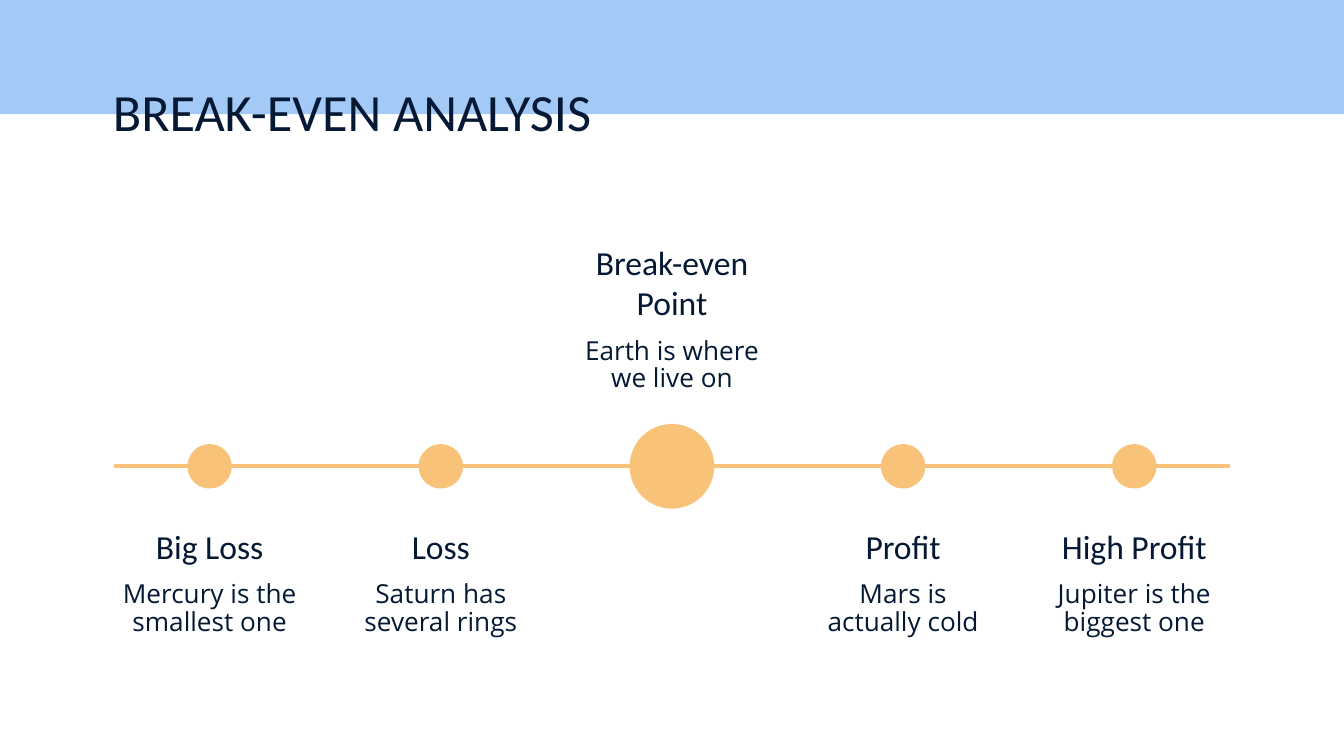
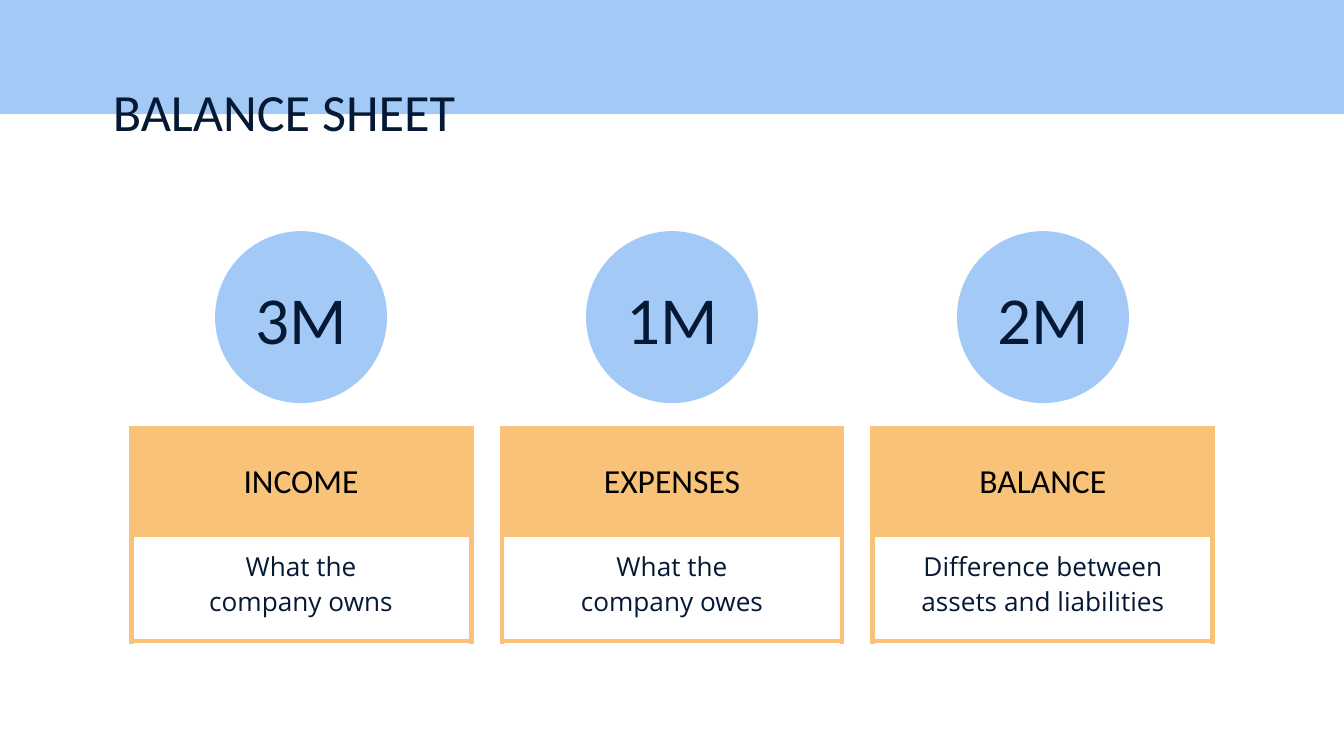
from lxml.etree import SubElement
from pptx import Presentation
from pptx.dml.color import RGBColor
from pptx.enum.shapes import MSO_CONNECTOR, MSO_SHAPE
from pptx.enum.text import MSO_ANCHOR, MSO_AUTO_SIZE, PP_ALIGN
from pptx.oxml.ns import qn
from pptx.util import Inches, Pt

NAVY, BLUE, ORANGE, BLACK = "051934", "A3CAF7", "F8C379", "000000"
HEADING_FONT, BODY_FONT = "Calibri", "Open Sans"
TITLE_ONLY = 5
SLIDE_WIDTH, SLIDE_HEIGHT = 10, 5.625
CENTER = SLIDE_WIDTH / 2


def color(hex_string):
    return RGBColor.from_string(hex_string)


def write(frame, text, size=14, font=BODY_FONT, ink=NAVY, align=PP_ALIGN.CENTER,
          anchor=MSO_ANCHOR.TOP, spacing=1.0, after=0):
    """Fill a text frame or table cell, one paragraph per line of text."""
    frame.vertical_anchor = anchor
    frame.margin_left = frame.margin_right = Inches(0.1)
    frame.margin_top = frame.margin_bottom = Inches(0.1)
    body = getattr(frame, "text_frame", frame)
    body.word_wrap = True
    body.text = text
    for para in body.paragraphs:
        para.alignment = align
        para.line_spacing = spacing
        para.space_before, para.space_after = Pt(0), Pt(after)
        for span in para.runs:
            span.font.name, span.font.size = font, Pt(size)
            span.font.bold = False
            span.font.color.rgb = color(ink)


def outline_cell(cell, line_color, width):
    properties = cell._tc.get_or_add_tcPr()
    for side in ("lnL", "lnR", "lnT", "lnB"):
        line = SubElement(properties, qn(f"a:{side}"), w=str(Pt(width)))
        fill = SubElement(line, qn("a:solidFill"))
        SubElement(fill, qn("a:srgbClr"), val=line_color)


class Report:
    def __init__(self):
        self.deck = Presentation()
        self.deck.slide_width = Inches(SLIDE_WIDTH)
        self.deck.slide_height = Inches(SLIDE_HEIGHT)
        self.page = None

    def new_page(self, title):
        self.page = self.deck.slides.add_slide(self.deck.slide_layouts[TITLE_ONLY])
        band = self.shape(MSO_SHAPE.RECTANGLE, 0, 0, SLIDE_WIDTH, 0.85, BLUE)
        self.page.shapes._spTree.insert(2, band._element)  # behind the title
        box = self.page.shapes.title
        box.left, box.top = Inches(0.74), Inches(0.49)
        box.width, box.height = Inches(7.73), Inches(0.63)
        box.text_frame.auto_size = MSO_AUTO_SIZE.NONE
        write(box.text_frame, title, size=28, font=HEADING_FONT, align=PP_ALIGN.LEFT)

    def shape(self, kind, left, top, width, height, fill):
        shape = self.page.shapes.add_shape(
            kind, Inches(left), Inches(top), Inches(width), Inches(height))
        shape.shadow.inherit = False
        shape.fill.solid()
        shape.fill.fore_color.rgb = color(fill)
        shape.line.fill.background()
        return shape

    def circle(self, center_x, center_y, diameter, fill):
        return self.shape(MSO_SHAPE.OVAL, center_x - diameter / 2,
                          center_y - diameter / 2, diameter, diameter, fill)

    def text(self, left, top, width, height, text, **style):
        box = self.page.shapes.add_textbox(
            Inches(left), Inches(top), Inches(width), Inches(height))
        write(box.text_frame, text, **style)

    def horizontal_line(self, left, right, y, line_color, width):
        line = self.page.shapes.add_connector(
            MSO_CONNECTOR.STRAIGHT, Inches(left), Inches(y), Inches(right), Inches(y))
        line.line.color.rgb = color(line_color)
        line.line.width = Pt(width)
        SubElement(line._element.spPr, qn("a:effectLst"))

    def card(self, left, top, width, row_height, heading, text):
        """Two-row table: a filled heading above an outlined text."""
        table = self.page.shapes.add_table(
            2, 1, Inches(left), Inches(top), Inches(width), Inches(2 * row_height)).table
        table.first_row = table.horz_banding = False
        head, body = table.cell(0, 0), table.cell(1, 0)
        for cell in (head, body):
            outline_cell(cell, ORANGE, 3)
        head.fill.solid()
        head.fill.fore_color.rgb = color(ORANGE)
        body.fill.background()
        write(head, heading, size=18, font=HEADING_FONT, ink=BLACK,
              anchor=MSO_ANCHOR.MIDDLE)
        write(body, text)


def break_even_page(report):
    report.new_page("BREAK-EVEN ANALYSIS")
    stages = [
        ("Big Loss", "Mercury is the smallest one"),
        ("Loss", "Saturn has several rings"),
        ("Break-even Point", "Earth is where we live on"),
        ("Profit", "Mars is actually cold"),
        ("High Profit", "Jupiter is the biggest one"),
    ]
    middle, pitch, width, axis = len(stages) // 2, 1.72, 1.55, 3.47
    report.horizontal_line(0.85, 9.15, axis, ORANGE, 2.25)
    for index, (heading, text) in enumerate(stages):
        center = CENTER + (index - middle) * pitch
        is_middle = index == middle
        top = 1.52 if is_middle else 3.33
        left = center - width / 2
        report.text(left, top, width, 0.98, heading, size=18, font=HEADING_FONT,
                    anchor=MSO_ANCHOR.BOTTOM)
        report.text(left, top + 0.9, width, 0.63, text, spacing=0.87, after=16)
        report.circle(center, axis, 0.63 if is_middle else 0.33, ORANGE)


def balance_page(report):
    report.new_page("BALANCE SHEET")
    accounts = [
        ("3M", "INCOME", "What the\ncompany owns"),
        ("1M", "EXPENSES", "What the\ncompany owes"),
        ("2M", "BALANCE", "Difference between assets and liabilities"),
    ]
    pitch, width = 2.76, 2.53
    for index, (amount, heading, text) in enumerate(accounts):
        center = CENTER + (index - 1) * pitch
        report.card(center - width / 2, 3.19, width, 0.79, heading, text)
        circle = report.circle(center, 2.36, 1.28, BLUE)
        write(circle.text_frame, amount, size=36, font=HEADING_FONT,
              anchor=MSO_ANCHOR.MIDDLE)


def main():
    report = Report()
    break_even_page(report)
    balance_page(report)
    report.deck.save("out.pptx")


if __name__ == "__main__":
    main()
